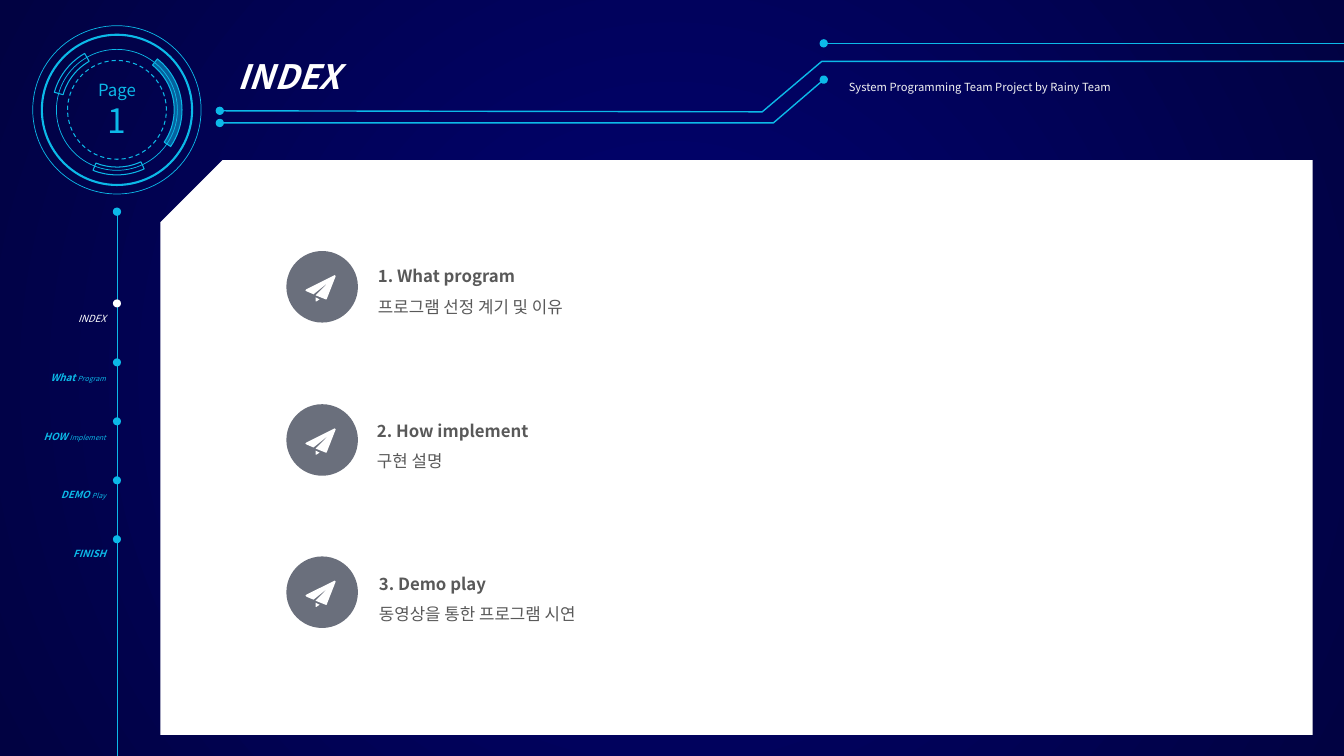
from dataclasses import dataclass

import pptx
import pptx.dml.color
import pptx.enum.dml
import pptx.enum.shapes
import pptx.enum.text
import pptx.oxml
import pptx.oxml.ns
import pptx.util
from pptx.util import Inches

Shape = pptx.enum.shapes.MSO_SHAPE
Align = pptx.enum.text.PP_ALIGN
Anchor = pptx.enum.text.MSO_ANCHOR
Point = tuple[float, float]


@dataclass(frozen=True)
class Theme:
    font: str = "Noto Sans CJK KR"
    cyan: str = "0CB9E8"
    white: str = "FFFFFF"
    credit: str = "F2F2F2"
    body: str = "595959"
    disc: str = "6A6F7C"
    background_center: str = "010276"
    background_edge: str = "010242"
    title_size: float = 24
    body_size: float = 12
    credit_size: float = 8
    menu_size: float = 7
    menu_small_size: float = 5


THEME = Theme()


@dataclass(frozen=True)
class Run:
    text: str
    size: float
    color: str
    bold: bool = False
    italic: bool = False


@dataclass(frozen=True)
class Ring:
    diameter: float
    width: float


@dataclass(frozen=True)
class Arc:
    start: float
    end: float
    thickness: float
    filled: bool = False


@dataclass(frozen=True)
class MenuItem:
    strong: str
    small: str = ""
    active: bool = False


@dataclass(frozen=True)
class Topic:
    heading: str
    detail: str
    disc_top: float
    text_left: float
    text_top: float


EMBLEM_CENTER: Point = (1.16, 1.09)
RINGS = [Ring(1.49, 1.5), Ring(1.2, 0.5), Ring(1.67, 0.5)]
ARCS = [Arc(185.07, 20.62, 0.06, True), Arc(117.42, 144.14, 0.07), Arc(39.14, 66.95, 0.06)]
MENU = [
    MenuItem("INDEX", active=True),
    MenuItem("What ", "Program"),
    MenuItem("HOW ", "Implement"),
    MenuItem("DEMO ", "Play"),
    MenuItem("FINISH"),
]
TOPICS = [
    Topic("1. What program", "프로그램 선정 계기 및 이유", 2.49, 3.65, 2.49),
    Topic("2. How implement", "구현 설명", 4.01, 3.64, 4.02),
    Topic("3. Demo play", "동영상을 통한 프로그램 시연", 5.52, 3.66, 5.54),
]
DISC_LEFT, DISC_SIZE = 2.84, 0.71
PLANE_FOLD: list[Point] = [(0.29, 0.46), (0.33, 0.48), (0.3, 0.5), (0.29, 0.5)]
PLANE_WING: list[Point] = [
    (0.48, 0.24), (0.49, 0.25), (0.4, 0.48), (0.39, 0.48), (0.29, 0.44),
    (0.42, 0.31), (0.27, 0.43), (0.2, 0.4), (0.19, 0.39), (0.2, 0.38),
]
MENU_X, MENU_TOP, MENU_STEP, DOT_SIZE = 1.16, 3.01, 0.585, 0.08


def rgb(color: str) -> pptx.dml.color.RGBColor:
    return pptx.dml.color.RGBColor.from_string(color)


def append_xml(parent, tag: str, **attributes: str):
    child = pptx.oxml.parse_xml(f"<a:{tag} {pptx.oxml.ns.nsdecls('a')}/>")
    for name, value in attributes.items():
        child.set(name, value)
    parent.append(child)
    return child


def style(shape, fill: str | None = None, line: str | None = None, width: float = 1) -> None:
    shape.shadow.inherit = False
    if fill:
        shape.fill.solid()
        shape.fill.fore_color.rgb = rgb(fill)
    else:
        shape.fill.background()
    if line:
        shape.line.color.rgb = rgb(line)
        shape.line.width = pptx.util.Pt(width)
    else:
        shape.line.fill.background()


def add_ellipse(shapes, center: Point, diameter: float):
    left, top = (value - diameter / 2 for value in center)
    return shapes.add_shape(Shape.OVAL, Inches(left), Inches(top), Inches(diameter), Inches(diameter))


def add_path(shapes, points: list[Point], close: bool):
    corners = [(Inches(x), Inches(y)) for x, y in points]
    builder = shapes.build_freeform(*corners[0])
    builder.add_line_segments(corners[1:], close=close)
    return builder.convert_to_shape()


def add_oval_ends(shape, *ends: str) -> None:
    for end in ends:
        append_xml(shape.line._get_or_add_ln(), end, type="oval")


def add_trace(slide, points: list[Point], *ends: str) -> None:
    trace = add_path(slide.shapes, points, close=False)
    style(trace, line=THEME.cyan)
    add_oval_ends(trace, *ends)


def add_dotted_line(slide, start: Point, end: Point) -> None:
    """Draw a thin straight line that begins with a round dot."""
    line = slide.shapes.add_connector(
        pptx.enum.shapes.MSO_CONNECTOR.STRAIGHT, *(Inches(value) for value in start + end))
    line.line.color.rgb = rgb(THEME.cyan)
    line.line.width = pptx.util.Pt(0.5)
    add_oval_ends(line, "headEnd")
    append_xml(line._element.spPr, "effectLst")


def set_font(font, run: Run) -> None:
    font.name, font.size = THEME.font, pptx.util.Pt(run.size)
    font.bold, font.italic = run.bold, run.italic
    font.color.rgb = rgb(run.color)
    append_xml(font._element, "ea", typeface=THEME.font)


def write(frame, paragraphs: list[list[Run]], align=Align.LEFT, spacing: float = 1) -> None:
    for index, runs in enumerate(paragraphs):
        paragraph = frame.add_paragraph() if index else frame.paragraphs[0]
        paragraph.alignment, paragraph.line_spacing = align, spacing
        if len(runs) == 1:
            set_font(paragraph.font, runs[0])
        for run in runs:
            text_run = paragraph.add_run()
            text_run.text = run.text
            if len(runs) > 1:
                set_font(text_run.font, run)


def add_text(slide, box: tuple[float, float, float, float], paragraphs: list[list[Run]],
             align=Align.LEFT, spacing: float = 1.5, wrap: bool = True) -> None:
    frame = slide.shapes.add_textbox(*(Inches(value) for value in box)).text_frame
    frame.word_wrap = wrap
    frame.auto_size = pptx.enum.text.MSO_AUTO_SIZE.SHAPE_TO_FIT_TEXT
    write(frame, paragraphs, align, spacing)


def paint_background(slide) -> None:
    fill = slide.background.fill
    fill.gradient()
    for stop, color in zip(fill.gradient_stops, (THEME.background_center, THEME.background_edge)):
        stop.color.rgb = rgb(color)
    gradient = slide.background._cSld.bg.bgPr.find(pptx.oxml.ns.qn("a:gradFill"))
    gradient.remove(gradient.find(pptx.oxml.ns.qn("a:lin")))
    radial = append_xml(gradient, "path", path="circle")
    append_xml(radial, "fillToRect", l="50000", t="50000", r="50000", b="50000")


def add_emblem(slide) -> None:
    shapes = slide.shapes.add_group_shape().shapes
    for ring in RINGS:
        style(add_ellipse(shapes, EMBLEM_CENTER, ring.diameter), line=THEME.cyan, width=ring.width)
    size = 1.29
    left, top = (Inches(value - size / 2) for value in EMBLEM_CENTER)
    for arc in ARCS:
        shape = shapes.add_shape(Shape.BLOCK_ARC, left, top, Inches(size), Inches(size))
        for index, value in enumerate((arc.start, arc.end, arc.thickness)):
            shape.adjustments[index] = value
        style(shape, THEME.cyan if arc.filled else None, THEME.cyan, 0.75)
        if arc.filled:
            color = shape._element.spPr.find(pptx.oxml.ns.qn("a:solidFill"))[0]
            append_xml(color, "alpha", val="52000")
    badge = add_ellipse(shapes, EMBLEM_CENTER, 0.98)
    style(badge, line=THEME.cyan, width=0.75)
    badge.line.dash_style = pptx.enum.dml.MSO_LINE.DASH
    badge.text_frame.vertical_anchor = Anchor.MIDDLE
    write(badge.text_frame, [[Run("Page", THEME.body_size, THEME.cyan)],
                             [Run("1", THEME.title_size, THEME.cyan)]], Align.CENTER)


def add_header(slide) -> None:
    add_trace(slide, [(2.18, 1.22), (7.67, 1.22), (8.17, 0.79)], "headEnd", "tailEnd")
    add_text(slide, (2.26, 0.31, 5.45, 0.71), [[Run("INDEX", THEME.title_size, THEME.white, True, True)]])
    add_trace(slide, [(2.18, 1.1), (7.56, 1.11), (8.15, 0.61), (13.33, 0.61)], "headEnd")
    add_dotted_line(slide, (8.17, 0.43), (13.33, 0.43))
    add_text(slide, (8.32, 0.68, 2.85, 0.3), [[Run(
        "System Programming Team Project by Rainy Team", THEME.credit_size, THEME.credit)]], wrap=False)


def add_panel(slide) -> None:
    panel = slide.shapes.add_shape(
        Shape.SNIP_1_RECTANGLE, Inches(1.59), Inches(1.59), Inches(11.43), Inches(5.7))
    panel.adjustments[0] = 0.108
    panel._element.spPr.xfrm.set("flipH", "1")
    style(panel, THEME.white)


def menu_runs(item: MenuItem) -> list[Run]:
    color = THEME.white if item.active else THEME.cyan
    runs = [Run(item.strong, THEME.menu_size, color, not item.active, True)]
    if item.small:
        runs.append(Run(item.small, THEME.menu_small_size, color, False, True))
    return runs


def add_menu(slide) -> None:
    add_dotted_line(slide, (MENU_X, 2.1), (MENU_X, 7.5))
    add_text(slide, (0.01, 2.59, 1.14, 3.63), [menu_runs(item) for item in MENU], Align.RIGHT, 5)
    for index, item in enumerate(MENU):
        dot = add_ellipse(slide.shapes, (MENU_X, MENU_TOP + index * MENU_STEP), DOT_SIZE)
        style(dot, THEME.white if item.active else THEME.cyan)


def add_topic(slide, topic: Topic) -> None:
    icon = slide.shapes.add_group_shape().shapes
    center = (DISC_LEFT + DISC_SIZE / 2, topic.disc_top + DISC_SIZE / 2)
    style(add_ellipse(icon, center, DISC_SIZE), THEME.disc)
    for outline in (PLANE_FOLD, PLANE_WING):
        points = [(DISC_LEFT + x, topic.disc_top + y) for x, y in outline]
        style(add_path(icon, points, close=True), THEME.white)
    add_text(slide, (topic.text_left, topic.text_top, 2.71, 0.93), [
        [Run(topic.heading, THEME.body_size, THEME.body, bold=True)],
        [Run(topic.detail, THEME.body_size, THEME.body)]])


def main() -> None:
    presentation = pptx.Presentation()
    presentation.slide_width, presentation.slide_height = Inches(13.33), Inches(7.5)
    slide = presentation.slides.add_slide(presentation.slide_layouts[6])
    paint_background(slide)
    add_emblem(slide)
    add_header(slide)
    add_panel(slide)
    add_menu(slide)
    for topic in TOPICS:
        add_topic(slide, topic)
    presentation.save("out.pptx")


if __name__ == "__main__":
    main()
